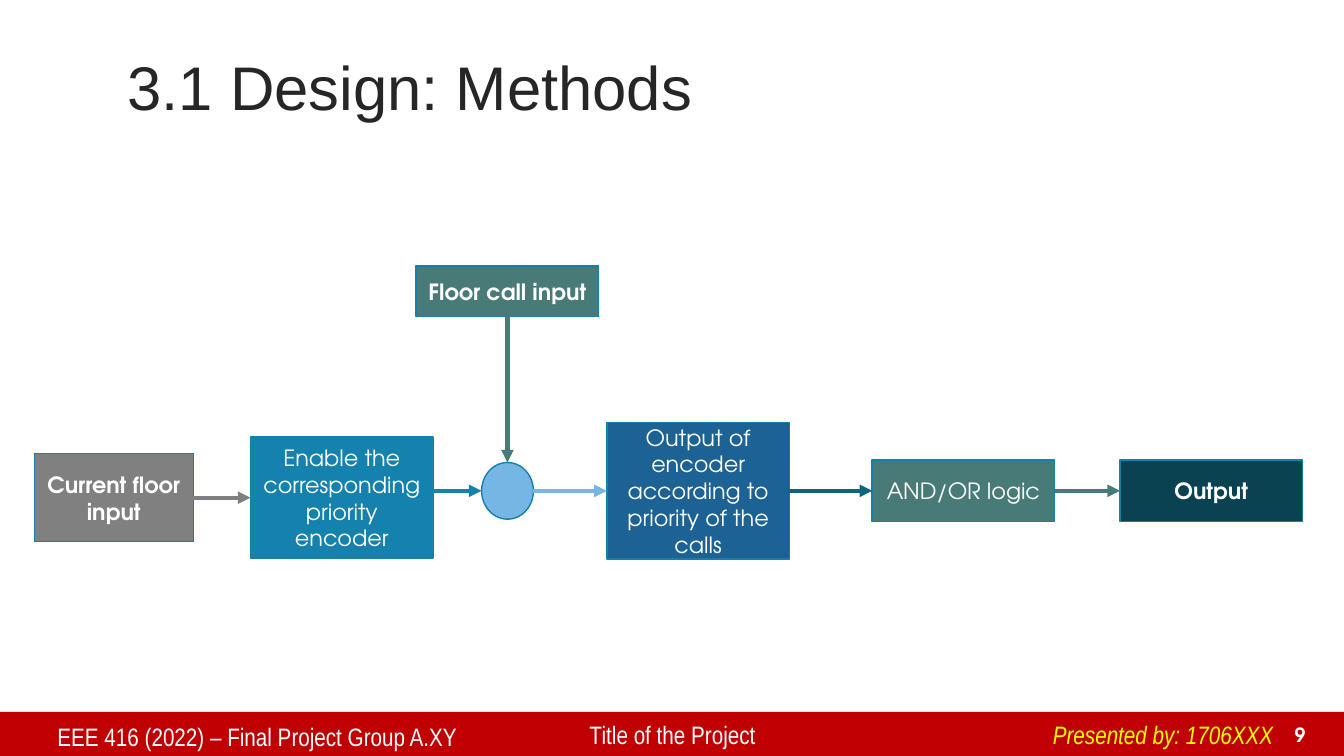
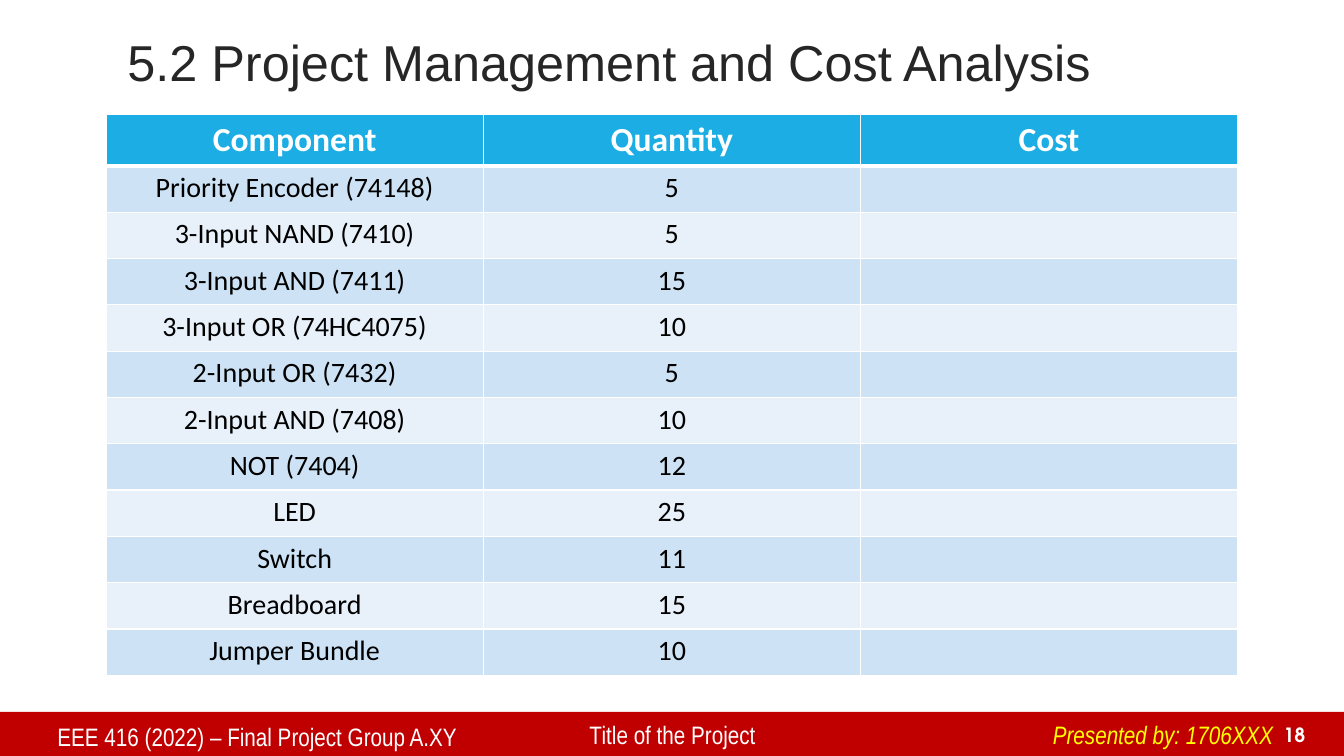
from pptx import Presentation
from pptx.dml.color import RGBColor
from pptx.enum.shapes import MSO_CONNECTOR, MSO_SHAPE
from pptx.enum.text import MSO_ANCHOR, PP_ALIGN
from pptx.oxml.ns import qn
from pptx.util import Pt
from lxml.etree import SubElement

# Shared style
COLORS = {
    "footer": "C00000", "title": "262626", "white": "FFFFFF", "yellow": "FFFF00",
    "black": "000000", "outline": "1580A9", "gray": "808080", "blue": "1482AC",
    "sky": "75B6E5", "green": "487B78", "navy": "1D6294", "petrol": "0F647B",
    "dark": "0A4252", "header": "1CADE4", "band_dark": "CDE3F5", "band_light": "E8F1FA",
}
TITLE_FONT, FOOTER_FONT = "Arial", "Arial Narrow"
FLOW_FONT, TABLE_FONT = "TeX Gyre Adventor", "Calibri"
SLIDE_W, SLIDE_H = 960, 540

# Footer texts: text, box, colour, italic, wrap
FOOTER_TEXTS = [
    ("EEE 416 (2022) – Final Project Group A.XY", (34, 512, 380, 29.5), "white", False, True),
    ("Title of the Project", (414, 510.5, 484.6, 29.5), "white", False, True),
    ("Presented by: 1706XXX", (745, 510, 174.4, 29), "yellow", True, False),
]

# Flow steps, left to right: text, left, width, height, centre y, fill, bold, arrow colour
FLOW_Y, INPUT_Y = 350.6, 355.5
STEP_W = 130.4
FLOW = [
    ("Current floor input", 24.5, 113.6, 63, INPUT_Y, "gray", True, "gray"),
    ("Enable the corresponding priority encoder", 179, STEP_W, 86.4, INPUT_Y, "blue", False, "blue"),
    ("", 344, 37, 40.5, FLOW_Y, "sky", False, "sky"),
    ("Output of encoder according to priority of the calls",
     433.5, STEP_W, 97.4, FLOW_Y, "navy", False, "petrol"),
    ("AND/OR logic", 623, STEP_W, 44, FLOW_Y, "green", False, "green"),
    ("Output", 800, STEP_W, 44, FLOW_Y, "dark", True, None),
]
JUNCTION = 2
FLOOR_CALL = ("Floor call input", 190, 36)

COST_HEADER = ["Component", "Quantity", "Cost"]
COST_ROWS = [
    ("Priority Encoder (74148)", "5", ""),
    ("3-Input NAND (7410)", "5", ""),
    ("3-Input AND (7411)", "15", ""),
    ("3-Input OR (74HC4075)", "10", ""),
    ("2-Input OR (7432)", "5", ""),
    ("2-Input AND (7408)", "10", ""),
    ("NOT (7404)", "12", ""),
    ("LED", "25", ""),
    ("Switch", "11", ""),
    ("Breadboard", "15", ""),
    ("Jumper Bundle", "10", ""),
]
COST_LEFT, COST_TOP, COST_COL_W = 75.8, 82, 269.4
HEADER_H, ROW_H = 36.5, 33.1


def rgb(name):
    return RGBColor.from_string(COLORS[name])


def points(*lengths):
    return [Pt(length) for length in lengths]


def style_text(frame, text, font, size, color, bold=False, italic=False, align=PP_ALIGN.LEFT):
    frame.text = text
    paragraph = frame.paragraphs[0]
    paragraph.alignment = align
    for run in paragraph.runs:
        run.font.name, run.font.size = font, Pt(size)
        run.font.bold, run.font.italic = bold, italic
        run.font.color.rgb = rgb(color)


def add_text(slide, box, text, font, size, color, anchor=MSO_ANCHOR.TOP, wrap=True, **style):
    frame = slide.shapes.add_textbox(*points(*box)).text_frame
    frame.word_wrap = wrap
    frame.vertical_anchor = anchor
    style_text(frame, text, font, size, color, **style)
    return frame


def add_block(slide, preset, box, fill, outline=None):
    block = slide.shapes.add_shape(preset, *points(*box))
    block.shadow.inherit = False
    block.fill.solid()
    block.fill.fore_color.rgb = rgb(fill)
    if outline:
        block.line.color.rgb = rgb(outline)
        block.line.width = Pt(1)
    else:
        block.line.fill.background()
    return block


def add_step(slide, text, box, fill, bold):
    preset = MSO_SHAPE.RECTANGLE if text else MSO_SHAPE.OVAL
    frame = add_block(slide, preset, box, fill, "outline").text_frame
    if text:
        frame.word_wrap = True
        frame.vertical_anchor = MSO_ANCHOR.MIDDLE
        style_text(frame, text, FLOW_FONT, 16, "white", bold=bold, align=PP_ALIGN.CENTER)


def add_arrow(slide, start, end, color):
    arrow = slide.shapes.add_connector(MSO_CONNECTOR.STRAIGHT, *points(*start, *end))
    arrow.line.color.rgb = rgb(color)
    arrow.line.width = Pt(3)
    SubElement(arrow.line._get_or_add_ln(), qn("a:tailEnd"), type="triangle")
    SubElement(arrow._element.spPr, qn("a:effectLst"))


def add_slide(deck, title, title_size, title_top, number):
    slide = deck.slides.add_slide(deck.slide_layouts[6])
    add_block(slide, MSO_SHAPE.RECTANGLE, (0, 508.5, SLIDE_W, SLIDE_H - 508.5), "footer")
    heading = add_text(slide, (84, title_top, 792, 57.6), title, TITLE_FONT, title_size,
                       "title", anchor=MSO_ANCHOR.MIDDLE)
    heading.paragraphs[0].line_spacing = 0.9
    add_text(slide, (898.6, 512, 41, 24.5), number, FLOW_FONT, 14, "white",
             anchor=MSO_ANCHOR.BOTTOM, bold=True, align=PP_ALIGN.RIGHT)
    for text, box, color, italic, wrap in FOOTER_TEXTS:
        add_text(slide, box, text, FOOTER_FONT, 18, color, wrap=wrap, italic=italic)
    return slide


def style_cell(cell, text, fill, size, color, bold, bottom):
    properties = cell._tc.get_or_add_tcPr()
    for side, width in (("L", 1), ("R", 1), ("T", 1), ("B", bottom)):
        border = SubElement(properties, qn(f"a:ln{side}"), w=str(Pt(width)))
        paint = SubElement(border, qn("a:solidFill"))
        SubElement(paint, qn("a:srgbClr"), val=COLORS["white"])
    cell.fill.solid()
    cell.fill.fore_color.rgb = rgb(fill)
    style_text(cell.text_frame, text, TABLE_FONT, size, color, bold=bold, align=PP_ALIGN.CENTER)


def build_methods(deck):
    slide = add_slide(deck, "3.1 Design: Methods", 44, 36, "9")
    for text, left, width, height, middle, fill, bold, _ in FLOW:
        add_step(slide, text, (left, middle - height / 2, width, height), fill, bold)

    # Arrows between neighbouring steps
    for index, (step, following) in enumerate(zip(FLOW, FLOW[1:])):
        level = INPUT_Y if index == 0 else FLOW_Y
        add_arrow(slide, (step[1] + step[2], level), (following[1], level), step[-1])

    # Floor call enters the junction from above
    text, top, height = FLOOR_CALL
    _, left, width, junction_h, middle, *_ = FLOW[JUNCTION]
    center = left + width / 2
    add_step(slide, text, (center - STEP_W / 2, top, STEP_W, height), "green", True)
    add_arrow(slide, (center, top + height), (center, middle - junction_h / 2), "green")


def build_costs(deck):
    slide = add_slide(deck, "5.2 Project Management and Cost Analysis", 36, 17.5, "18")
    rows = [COST_HEADER, *COST_ROWS]
    box = (COST_LEFT, COST_TOP, COST_COL_W * len(COST_HEADER), HEADER_H + ROW_H * len(COST_ROWS))
    costs = slide.shapes.add_table(len(rows), len(COST_HEADER), *points(*box)).table
    costs.horz_banding = False
    for column in costs.columns:
        column.width = Pt(COST_COL_W)
    for r, texts in enumerate(rows):
        costs.rows[r].height = Pt(ROW_H if r else HEADER_H)
        if r == 0:
            look = ("header", 24, "white", True, 3)
        else:
            look = ("band_dark" if r % 2 else "band_light", 20, "black", False, 1)
        for c, text in enumerate(texts):
            style_cell(costs.cell(r, c), text, *look)


def main():
    deck = Presentation()
    deck.slide_width, deck.slide_height = points(SLIDE_W, SLIDE_H)
    build_methods(deck)
    build_costs(deck)
    deck.save("out.pptx")


if __name__ == "__main__":
    main()
